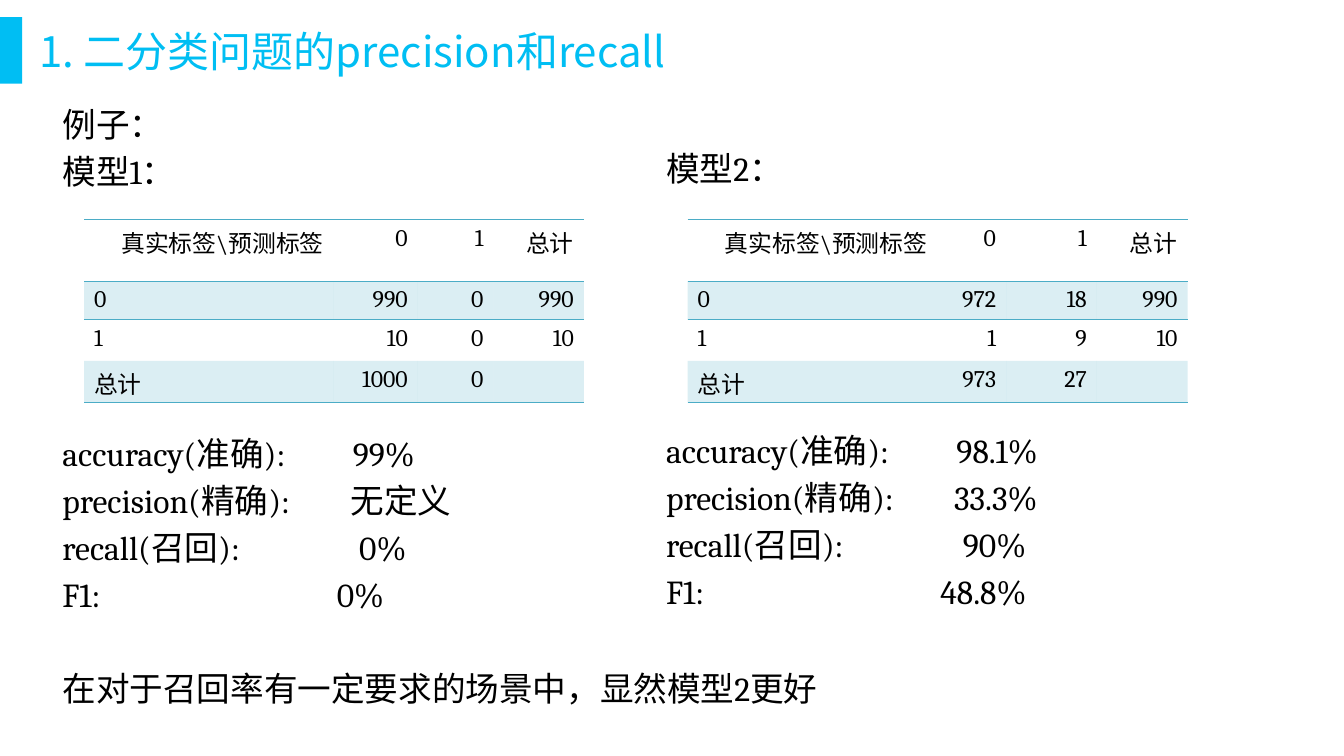
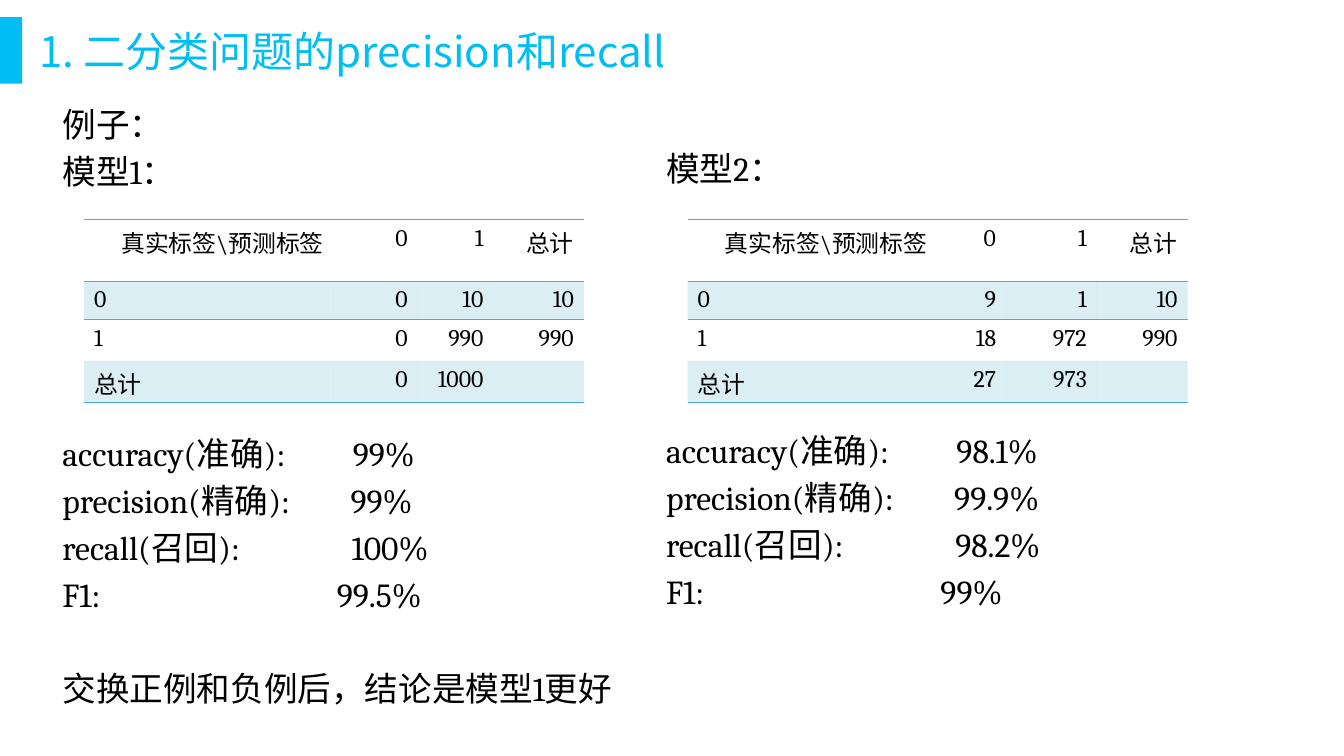
from dataclasses import dataclass

from lxml import etree
from pptx import Presentation
from pptx.dml.color import RGBColor
from pptx.enum.shapes import MSO_SHAPE
from pptx.enum.text import MSO_ANCHOR, PP_ALIGN
from pptx.oxml.ns import qn
from pptx.util import Pt

RECTANGLE = MSO_SHAPE.RECTANGLE
MIDDLE, TOP = MSO_ANCHOR.MIDDLE, MSO_ANCHOR.TOP
LEFT, RIGHT = PP_ALIGN.LEFT, PP_ALIGN.RIGHT
PLAIN_TABLE = "{2D5ABB26-0587-4C30-8999-92F81FD0307C}"


@dataclass(frozen=True)
class Theme:
    """Colours, typefaces and type sizes of the deck."""
    accent: str = "00BEF3"
    table: str = "4BACC6"
    ink: str = "000000"
    sans: str = "Noto Sans CJK SC"
    serif: str = "Cambria"
    title_size: float = 30
    body_size: float = 24
    cell_size: float = 17
    line_pitch: float = 33.6
    band_alpha: int = 20000


@dataclass(frozen=True)
class Column:
    """Place of one model's column and the widths of its table."""
    left: float
    top: float
    width: float
    table_widths: tuple


COLUMNS = (
    Column(44.6, 69.4, 400, (178.5, 60, 54, 64.6)),
    Column(475.8, 67.2, 400, (178.5, 49, 64.8, 64.8)),
)
ROW_HEIGHTS = (43.8, 27.4, 29.4, 29.4)
TABLE_TOP = 157
TABLE_INDENT = 15.4
TOTAL = "总计"
METRICS = ("accuracy(准确):", "precision(精确):", "recall(召回):", "F1:")


class Slides:
    """Draws styled elements on the current slide."""

    def __init__(self, theme):
        self.theme = theme
        self.deck = Presentation()
        self.deck.slide_width, self.deck.slide_height = Pt(960), Pt(540)
        self.page = None

    def new_page(self, title):
        self.page = self.deck.slides.add_slide(self.deck.slide_layouts[6])
        bar = self.page.shapes.add_shape(RECTANGLE, Pt(0), Pt(12.2), Pt(15.8), Pt(47.6))
        bar.shadow.inherit = False
        bar.fill.solid()
        bar.fill.fore_color.rgb = RGBColor.from_string(self.theme.accent)
        bar.line.fill.background()
        frame = self.frame(28, 12.2, 890, 47.6, MIDDLE)
        self.span(frame.paragraphs[0], title, self.theme.title_size,
                  self.theme.accent, self.theme.sans)

    def frame(self, left, top, width, height, anchor=TOP):
        box = self.page.shapes.add_textbox(Pt(left), Pt(top), Pt(width), Pt(height))
        frame = box.text_frame
        frame.word_wrap = True
        frame.vertical_anchor = anchor
        frame.margin_left = frame.margin_right = Pt(0)
        frame.margin_top = frame.margin_bottom = Pt(0)
        return frame

    def span(self, para, text, size, color, face):
        span = para.add_run()
        span.text = text
        span.font.size = Pt(size)
        span.font.name = face
        span.font.color.rgb = RGBColor.from_string(color)
        east_asian = etree.SubElement(span.font._element, qn("a:ea"))
        east_asian.set("typeface", self.theme.sans)

    def lines(self, column, first_line, rows, width=None):
        pitch = self.theme.line_pitch
        frame = self.frame(column.left, column.top + first_line * pitch,
                           width or column.width, len(rows) * pitch)
        for index, (spans, stop) in enumerate(rows):
            para = frame.add_paragraph() if index else frame.paragraphs[0]
            para.line_spacing = Pt(pitch)
            if stop:
                self.tab_stop(para, stop)
            for text in spans:
                self.span(para, text, self.theme.body_size, self.theme.ink, self.theme.serif)

    def tab_stop(self, para, position):
        tabs = etree.SubElement(para._p.get_or_add_pPr(), qn("a:tabLst"))
        etree.SubElement(tabs, qn("a:tab"), pos=str(int(Pt(position))), algn="l")

    def confusion_table(self, column, counts):
        body = [[*row, sum(row)] for row in counts]
        sums = [sum(values) for values in zip(*counts)]
        grid = [["真实标签\\预测标签", 0, 1, TOTAL], [0, *body[0]], [1, *body[1]],
                [TOTAL, *sums, ""]]
        widths = column.table_widths
        table = self.page.shapes.add_table(
            len(grid), len(widths), Pt(column.left + TABLE_INDENT), Pt(TABLE_TOP),
            Pt(sum(widths)), Pt(sum(ROW_HEIGHTS))).table
        table.first_row = table.horz_banding = False
        table._tbl.tblPr[0].text = PLAIN_TABLE
        for table_column, width in zip(table.columns, widths):
            table_column.width = Pt(width)
        for row, values in enumerate(grid):
            table.rows[row].height = Pt(ROW_HEIGHTS[row])
            for position, value in enumerate(values):
                self.fill_cell(table.cell(row, position), row, position, str(value))

    def fill_cell(self, cell, row, position, text):
        para = cell.text_frame.paragraphs[0]
        para.alignment = LEFT if row and not position else RIGHT
        if text:
            self.span(para, text, self.theme.cell_size, self.theme.ink, self.theme.serif)
        if row in (0, 1):
            self.border(cell, "a:lnT")
        if row in (0, 3):
            self.border(cell, "a:lnB")
        if row % 2:
            cell.fill.solid()
            cell.fill.fore_color.rgb = RGBColor.from_string(self.theme.table)
            color = cell._tc.tcPr.find(qn("a:solidFill"))[0]
            etree.SubElement(color, qn("a:alpha"), val=str(self.theme.band_alpha))
        else:
            cell.fill.background()

    def border(self, cell, side):
        line = etree.SubElement(cell._tc.get_or_add_tcPr(), qn(side), w=str(int(Pt(1))))
        fill = etree.SubElement(line, qn("a:solidFill"))
        etree.SubElement(fill, qn("a:srgbClr"), val=self.theme.table)

    def model(self, column, name, counts, scores, stops):
        self.lines(column, 1, [([name], None)])
        self.lines(column, 7, [([metric, "\t" + score], stop)
                               for metric, score, stop in zip(METRICS, scores, stops)])
        self.confusion_table(column, counts)


PAGES = (
    ((((990, 0), (10, 0)), ("99%", "无定义", "0%", "0%")),
     (((972, 18), (1, 9)), ("98.1%", "33.3%", "90%", "48.8%")),
     (207.4, 205.8, 212, 196),
     "在对于召回率有一定要求的场景中，显然模型2更好"),
    ((((0, 10), (0, 990)), ("99%", "99%", "100%", "99.5%")),
     (((9, 1), (18, 972)), ("98.1%", "99.9%", "98.2%", "99%")),
     (207.4, 205.8, 206.6, 196),
     "交换正例和负例后，结论是模型1更好"),
)


def main():
    slides = Slides(Theme())
    for *models, stops, conclusion in PAGES:
        slides.new_page("1. 二分类问题的precision和recall")
        slides.lines(COLUMNS[0], 0, [(["例子："], None)])
        for number, (column, (counts, scores)) in enumerate(zip(COLUMNS, models), 1):
            slides.model(column, f"模型{number}：", counts, scores, stops)
        slides.lines(COLUMNS[0], 12, [([conclusion], None)], 610)
    slides.deck.save("out.pptx")


if __name__ == "__main__":
    main()
